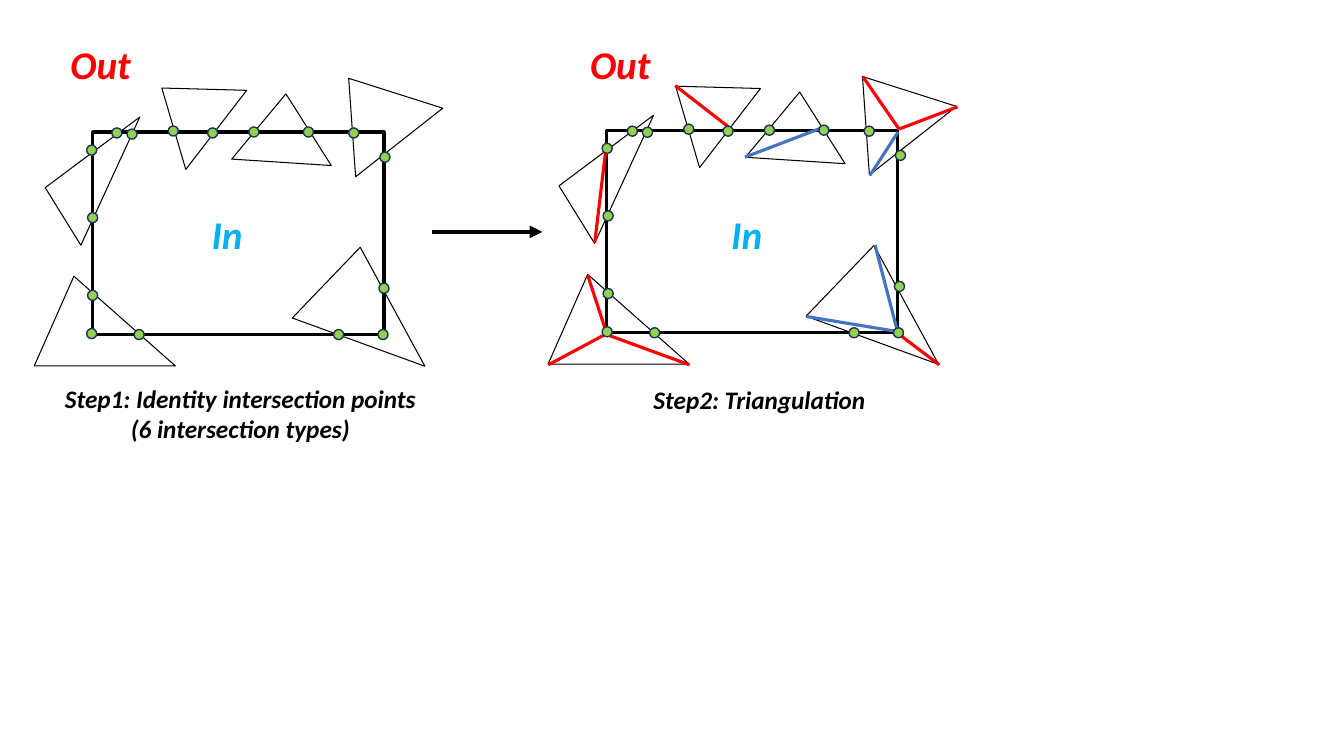
from pptx import Presentation
from pptx.dml.color import RGBColor
from pptx.enum.shapes import MSO_CONNECTOR, MSO_SHAPE
from pptx.enum.text import MSO_AUTO_SIZE, PP_ALIGN
from pptx.oxml.ns import qn
from pptx.util import Pt
from lxml import etree

STRAIGHT = MSO_CONNECTOR.STRAIGHT
RECTANGLE = MSO_SHAPE.RECTANGLE
TRIANGLE = MSO_SHAPE.ISOSCELES_TRIANGLE
OVAL = MSO_SHAPE.OVAL
FIT_SHAPE = MSO_AUTO_SIZE.SHAPE_TO_FIT_TEXT
LEFT, CENTER = PP_ALIGN.LEFT, PP_ALIGN.CENTER

BLACK = RGBColor(0x00, 0x00, 0x00)
RED = RGBColor(0xFF, 0x00, 0x00)
BLUE = RGBColor(0x44, 0x72, 0xC4)
SKY = RGBColor(0x00, 0xB0, 0xF0)
GREEN = RGBColor(0x92, 0xD0, 0x50)
NAVY = RGBColor(0x1E, 0x32, 0x56)

WINDOW = (66.2, 94.3, 208.1, 144.7)
TRIANGLES = [
    (227.5, 49.7, 79.2, 58.3, 321.8, 0.5),
    (99.4, 53.3, 71.3, 49, 307.6, 0.5),
    (167, 67, 71.3, 49, 3.7, 0.5),
    (216.7, 182.2, 100.8, 64.1, 20, 0.281),
    (24.5, 197.3, 100.8, 64.1, 0, 0.281),
    (10.1, 100.8, 100.8, 40.3, 294.7, 0.265),
]
INTERSECTIONS = [
    (61.9, 103.7), (62.6, 151.9), (62.6, 207.4), (95.8, 235.4),
    (120.2, 90), (148.3, 91.4), (177.8, 90.7), (216.7, 90.7),
    (249.1, 91.4), (271.4, 108.7), (270.7, 202.3), (238.3, 235.4),
    (79.9, 91.4), (90.7, 92.2), (61.9, 234.7), (270, 235.4),
]
INNER_CUTS = [
    (625, 175, 641.5, 238.3),
    (576, 226.1, 641.5, 236.9),
    (621.4, 125.3, 641.5, 94.3),
    (532.1, 112.3, 586.8, 91.4),
]
OUTER_CUTS = [
    (616.3, 54.7, 642.2, 92.2),
    (684, 76.3, 642.2, 92.2),
    (671, 260.6, 641.5, 238.3),
    (492.5, 260.6, 433.4, 239),
    (433.4, 238.3, 391.7, 260.6),
    (419.8, 196.6, 433.4, 238.3),
    (432.7, 107.3, 424.8, 173.5),
    (482.4, 61.2, 521.3, 91.4),
]
DOT_SIZE = 7.2


class Diagram:
    font = "Calibri"

    def __init__(self, slide):
        self.slide = slide

    def shape(self, kind, left, top, width, height, weight, line=BLACK, fill=None):
        shape = self.slide.shapes.add_shape(kind, Pt(left), Pt(top), Pt(width), Pt(height))
        shape.shadow.inherit = False
        if fill is None:
            shape.fill.background()
        else:
            shape.fill.solid()
            shape.fill.fore_color.rgb = fill
        shape.line.color.rgb = line
        shape.line.width = Pt(weight)
        return shape

    def triangle(self, left, top, width, height, rotation, apex):
        triangle = self.shape(TRIANGLE, left, top, width, height, 0.75)
        triangle.adjustments[0] = apex
        triangle.rotation = rotation

    def dot(self, left, top):
        self.shape(OVAL, left, top, DOT_SIZE, DOT_SIZE, 1, NAVY, GREEN)

    def line(self, x1, y1, x2, y2, color, weight=2.25, arrow=False):
        line = self.slide.shapes.add_connector(STRAIGHT, Pt(x1), Pt(y1), Pt(x2), Pt(y2))
        line.line.color.rgb = color
        line.line.width = Pt(weight)
        if arrow:
            etree.SubElement(line.line._get_or_add_ln(), qn("a:tailEnd"), type="triangle")
        etree.SubElement(line._element.spPr, qn("a:effectLst"))

    def text(self, left, top, width, height, lines, size, color=BLACK, align=LEFT):
        frame = self.slide.shapes.add_textbox(
            Pt(left), Pt(top), Pt(width), Pt(height)).text_frame
        frame.word_wrap = False
        frame.auto_size = FIT_SHAPE
        frame.text = "\n".join(lines)
        for paragraph in frame.paragraphs:
            paragraph.alignment = align
            font = paragraph.font
            font.name = self.font
            font.size = Pt(size)
            font.bold = font.italic = True
            font.color.rgb = color


def main():
    prs = Presentation()
    prs.slide_width, prs.slide_height = Pt(960), Pt(540)
    diagram = Diagram(prs.slides.add_slide(prs.slide_layouts[6]))

    for dx, dy in [(0, 0), (367, -1.3)]:
        left, top, width, height = WINDOW
        diagram.shape(RECTANGLE, left + dx, top + dy, width, height, 2.25)
        for left, top, *geometry in TRIANGLES:
            diagram.triangle(left + dx, top + dy, *geometry)

    for cuts, color in [(INNER_CUTS, BLUE), (OUTER_CUTS, RED)]:
        for cut in cuts:
            diagram.line(*cut, color)
    diagram.line(308.9, 165.6, 387.4, 165.6, BLACK, 3, arrow=True)

    for dx, dy in [(0, 0), (368.2, -1.3)]:
        for left, top in INTERSECTIONS:
            diagram.dot(left + dx, top + dy)

    diagram.text(37.4, 270, 268.6, 51,
                 ["Step1: Identity intersection points", "(6 intersection types)"],
                 18, align=CENTER)
    diagram.text(458.6, 270.7, 167.8, 29, ["Step2: Triangulation"], 18, align=CENTER)

    for dx in (0, 371.2):
        diagram.text(144 + dx, 146.9, 36.7, 41, ["In"], 28, SKY)
        diagram.text(43.2 + dx, 25.2, 58.3, 41, ["Out"], 28, RED)

    prs.save("out.pptx")


if __name__ == "__main__":
    main()
